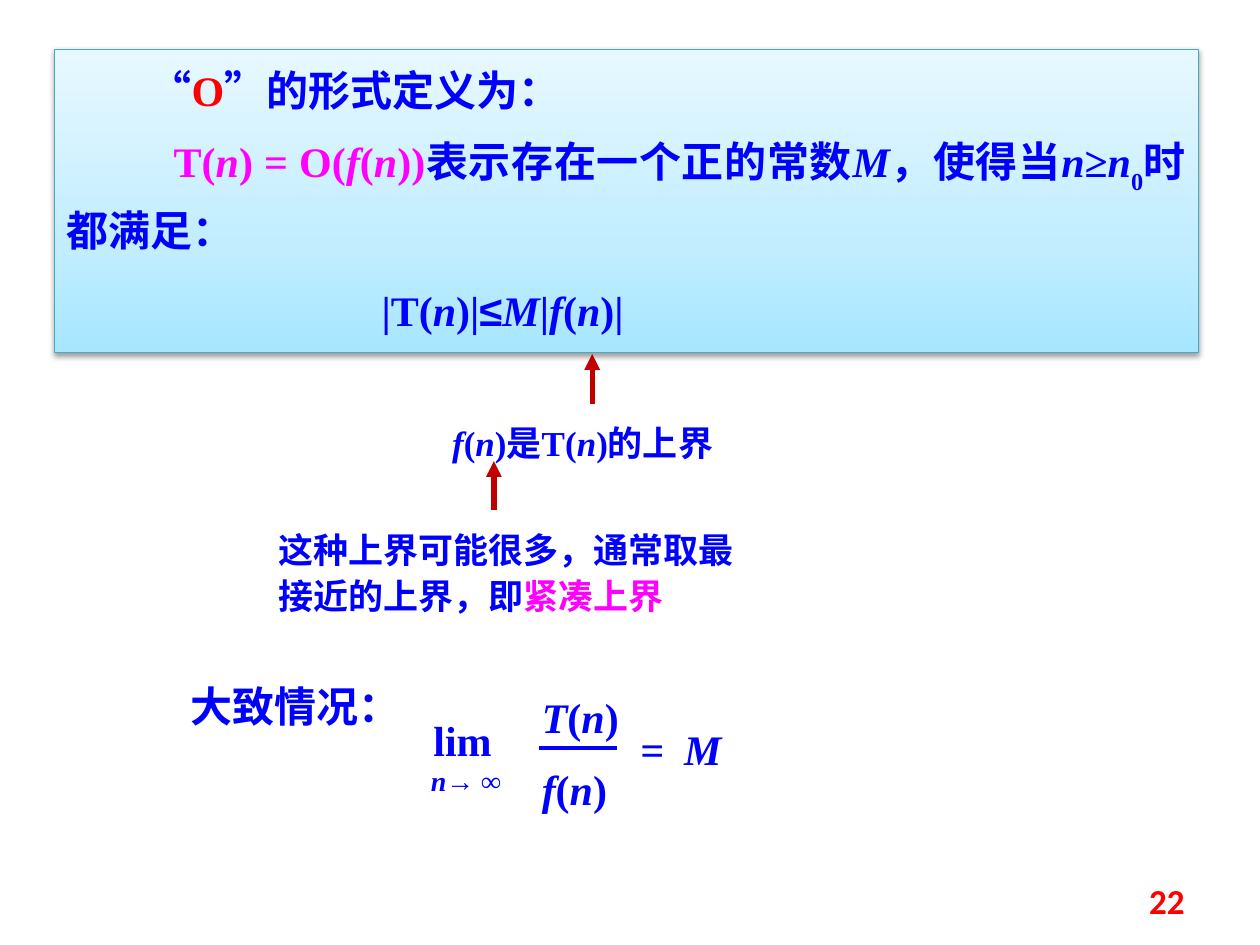
from copy import deepcopy
from lxml import etree
from pptx import Presentation
from pptx import util as u
from pptx.dml import color
from pptx.enum import shapes, text
from pptx.oxml import ns

HUES = {"blue": "0000FF", "red": "FF0000", "pink": "FF00FF", "arrow": "C00000",
        "edge": "46AAC5", "low": "A7E6FF", "mid": "C1EDFF", "high": "E7F8FF"}
ROMAN, HAN = "Times New Roman", "Noto Sans CJK SC"

# Runs are (hue, words, extra format); words between asterisks are italic.
PANEL = (0.43, 0.39, 9.08, 2.41)
RULES = [
    (0.66, [("blue", "“"), ("red", "O"), ("blue", "”的形式定义为：")]),
    (0.85, [("pink", "T(*n*) = O(*f*(*n*))"),
            ("blue", "表示存在一个正的常数*M*，使得当*n*≥*n*"),
            ("blue", "0", {"base": "-30000"}), ("blue", "时都满足：")]),
    (2.5, [("blue", "|T(*n*)|"), ("blue", "≤", {"name": "Arial"}),
           ("blue", "*M*|*f*(*n*)|")]),
]
NOTES = [
    ((3.49, 3.26, 2.61, 0.47), [("blue", "*f*(*n*)是T(*n*)的上界")]),
    ((2.11, 4.11, 3.93, 0.84),
     [("blue", "这种上界可能很多，通常取最接近的上界，即"), ("pink", "紧凑上界")]),
]
LIMIT = [
    ((1.41, 5.31, 2.11, 0.55), "大致情况：", 24, None),
    ((3.44, 5.63, 0.94, 0.44), "lim", 24, 0),
    ((3.42, 6.03, 0.63, 0.3), "*n*→ ∞", 16, 0),
    ((4.3, 5.45, 0.94, 0.41), "*T*(*n*)", 24, 0),
    ((4.3, 6.02, 0.94, 0.44), "*f*(*n*)", 24, 0),
    ((5.08, 5.7, 0.3, 0.41), "*=*", 24, 0),
    ((5.43, 5.7, 0.9, 0.41), "*M*", 24, 0),
]
ARROWS = [(4.7, 3.21, 2.81), (3.92, 4.05, 3.66)]
BAR = (4.28, 5.94, 4.9, 5.94)
PAGE = (7.17, 6.95, 2.33, 0.4)


def rgb(hue):
    """Return the named colour."""
    return color.RGBColor.from_string(HUES[hue])


def inch(spot):
    """Turn numbers into lengths."""
    return [u.Inches(n) for n in spot]


def tag(host, name, **vals):
    """Append a drawing element to host."""
    return etree.SubElement(host, ns.qn(name), vals)


def put(item, vals):
    """Set attributes from a dict."""
    for key, val in vals.items():
        setattr(item, key, val)


def write(para, runs, size):
    """Fill a paragraph with formatted runs."""
    for hue, words, *more in runs:
        extra = dict(more[0]) if more else {}
        base = extra.pop("base", None)
        for pos, part in enumerate(words.split("*")):
            if not part:
                continue
            run = para.add_run()
            run.text = part
            put(run.font, {"name": ROMAN, "size": u.Pt(size), "bold": True,
                           "italic": pos % 2 == 1, **extra})
            run.font.color.rgb = rgb(hue)
            props = run.font._element
            props.set("lang", "zh-CN")
            tag(props, "a:ea", typeface=HAN)
            if base:
                props.set("baseline", base)


def label(host, spot, runs, size, inset=None):
    """Add a wrapped text box."""
    frame = host.add_textbox(*inch(spot)).text_frame
    frame.word_wrap = True
    if inset is not None:
        sides = ("left", "top", "right", "bottom")
        put(frame, {f"margin_{side}": u.Inches(inset) for side in sides})
    para = frame.paragraphs[0]
    para.line_spacing = 1.1
    write(para, runs, size)
    return frame


def rule(host, ends, hue, width, head=False):
    """Add a straight line, with an arrowhead if asked."""
    line = host.add_connector(shapes.MSO_CONNECTOR.STRAIGHT, *inch(ends))
    line.line.color.rgb = rgb(hue)
    line.line.width = u.Pt(width)
    if head:
        tag(line.line._get_or_add_ln(), "a:tailEnd", type="triangle")
    tag(line._element.spPr, "a:effectLst")
    return line


def panel(host):
    """Add the shaded definition box."""
    box = host.add_shape(shapes.MSO_SHAPE.RECTANGLE, *inch(PANEL))
    box.fill.gradient()
    box.fill.gradient_angle = 90
    first = box.fill.gradient_stops[0]._gs
    first.addnext(deepcopy(first))
    stops = zip(box.fill.gradient_stops, ("low", "mid", "high"), (0, 0.35, 1))
    for stop, hue, pos in stops:
        stop.color.rgb = rgb(hue)
        stop.position = pos
    box.line.color.rgb = rgb("edge")
    box.line.width = u.Pt(0.75)
    glow = tag(tag(box._element.spPr, "a:effectLst"), "a:outerShdw",
               blurRad=str(u.Pt(3.1)), dist=str(u.Pt(1.6)), dir="5400000",
               rotWithShape="0")
    tag(tag(glow, "a:srgbClr", val="000000"), "a:alpha", val="38000")
    frame = box.text_frame
    put(frame, {"word_wrap": True, "vertical_anchor": text.MSO_ANCHOR.TOP})
    for pos, (indent, runs) in enumerate(RULES):
        para = frame.add_paragraph() if pos else frame.paragraphs[0]
        put(para, {"alignment": text.PP_ALIGN.JUSTIFY, "line_spacing": u.Pt(34),
                   "space_before": u.Pt(12 if pos else 0)})
        para._p.get_or_add_pPr().set("indent", str(u.Inches(indent)))
        write(para, runs, 24)
    return box


def main():
    """Build the big-O definition slide."""
    deck = Presentation()
    put(deck, {"slide_width": u.Inches(10), "slide_height": u.Inches(7.5)})
    host = deck.slides.add_slide(deck.slide_layouts[6]).shapes
    panel(host)
    for x, low, top in ARROWS:
        rule(host, (x, low, x, top), "arrow", 3, True)
    for spot, runs in NOTES:
        label(host, spot, runs, 20)
    group = host.add_group_shape().shapes
    for spot, words, size, inset in LIMIT:
        label(group, spot, [("blue", words)], size, inset)
    rule(group, BAR, "blue", 2.25)
    page = label(host, PAGE, [("red", "22", {"name": "Calibri"})], 20)
    page.vertical_anchor = text.MSO_ANCHOR.MIDDLE
    put(page.paragraphs[0], {"alignment": text.PP_ALIGN.RIGHT, "line_spacing": 1.0})
    deck.save("out.pptx")


if __name__ == "__main__":
    main()
